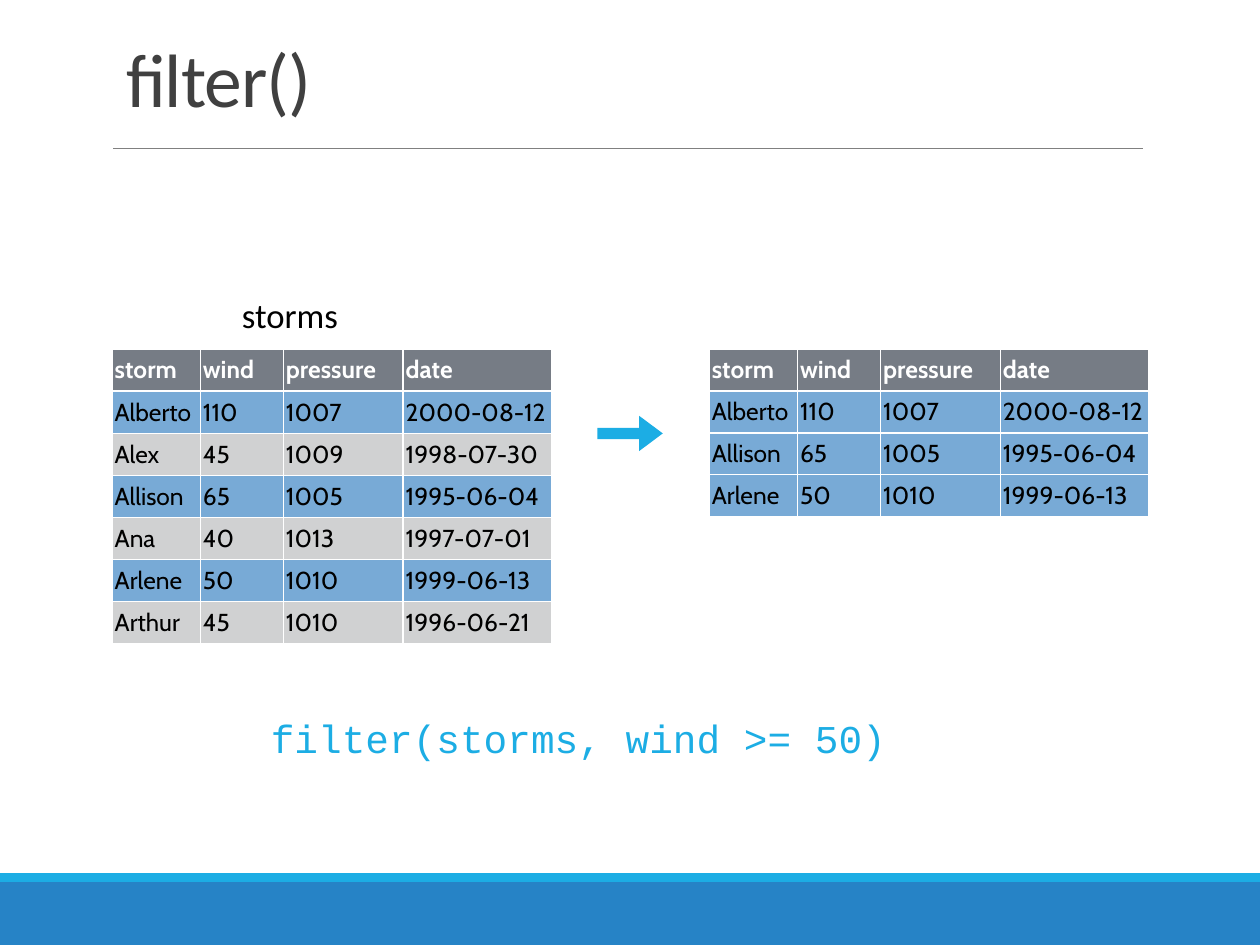
from lxml import etree
from pptx import Presentation
from pptx.dml.color import RGBColor
from pptx.enum.shapes import MSO_CONNECTOR, MSO_SHAPE
from pptx.enum.text import MSO_ANCHOR, MSO_AUTO_SIZE, PP_ALIGN
from pptx.oxml.ns import qn
from pptx.util import Inches, Pt

LINE = MSO_CONNECTOR.STRAIGHT
RECT, ARROW = MSO_SHAPE.RECTANGLE, MSO_SHAPE.RIGHT_ARROW
MIDDLE, BOTTOM, TOP = MSO_ANCHOR.MIDDLE, MSO_ANCHOR.BOTTOM, MSO_ANCHOR.TOP
LEFT = PP_ALIGN.LEFT

COLORS = {
    "sky": "1CADE4", "band": "2683C6", "rule": "808080", "title": "404040",
    "head": "767C85", "keep": "78AAD6", "drop": "D0D1D2",
    "white": "FFFFFF", "black": "000000",
}
HEAD = ("storm", "wind", "pressure", "date")
STORMS = [
    ("Alberto", 110, 1007, "2000-08-12"),
    ("Alex", 45, 1009, "1998-07-30"),
    ("Allison", 65, 1005, "1995-06-04"),
    ("Ana", 40, 1013, "1997-07-01"),
    ("Arlene", 50, 1010, "1999-06-13"),
    ("Arthur", 45, 1010, "1996-06-21"),
]
WIDTHS = (0.7, 0.66, 0.95, 1.18)
LIMIT = 50


def color(name):
    return RGBColor.from_string(COLORS[name])


def set_font(para, name, size, tone, bold=False):
    font = para.font
    font.name, font.size, font.bold = name, Pt(size), bold
    font.color.rgb = color(tone)


def set_inset(item, size):
    item.margin_left = item.margin_right = Inches(size)
    item.margin_top = item.margin_bottom = Inches(size)


def add_block(slide, kind, box, tone):
    shape = slide.shapes.add_shape(kind, *map(Inches, box))
    shape.shadow.inherit = False
    shape.fill.solid()
    shape.fill.fore_color.rgb = color(tone)
    shape.line.fill.background()
    return shape


def add_text(slide, box, text, name, size, tone, anchor=TOP):
    frame = slide.shapes.add_textbox(*map(Inches, box)).text_frame
    frame.word_wrap = True
    frame.vertical_anchor = anchor
    set_inset(frame, 0.03)
    para = frame.paragraphs[0]
    para.text = text
    set_font(para, name, size, tone)
    return para


def add_title(slide, box, text):
    x, y, w, h = box
    title = slide.shapes.title
    title.left, title.top, title.width, title.height = map(Inches, box)
    frame = title.text_frame
    frame.auto_size = MSO_AUTO_SIZE.NONE
    frame.vertical_anchor = BOTTOM
    para = frame.paragraphs[0]
    para.text = text
    para.alignment = LEFT
    para.line_spacing = 0.85
    set_font(para, "Calibri", 43.2, "title")
    para.runs[0]._r.get_or_add_rPr().set("spc", "-50")

    # Rule under the title
    low = Inches(y + h + 0.15)
    rule = slide.shapes.add_connector(
        LINE, Inches(x), low, Inches(x + w - 0.08), low)
    rule.line.color.rgb = color("rule")
    rule.line.width = Pt(0.5)
    etree.SubElement(rule._element.spPr, qn("a:effectLst"))


def add_footer(slide, box):
    x, y, w, h = box
    strip = 0.07
    add_block(slide, RECT, (x, y + strip, w, h - strip), "band")
    add_block(slide, RECT, (x, y, w, strip), "sky")


def add_borders(cell):
    props = cell._tc.get_or_add_tcPr()
    for spot, side in enumerate(("lnL", "lnR", "lnT", "lnB")):
        edge = etree.Element(qn("a:" + side), w=str(Pt(1)))
        fill = etree.SubElement(edge, qn("a:solidFill"))
        etree.SubElement(fill, qn("a:srgbClr"), val=COLORS["white"])
        props.insert(spot, edge)


def add_grid(slide, box, rows):
    count = len(rows) + 1
    table = slide.shapes.add_table(
        count, len(HEAD), *map(Inches, box)).table
    table.horz_banding = False
    for col, width in zip(table.columns, WIDTHS):
        col.width = Inches(width)
    for row in table.rows:
        row.height = Inches(box[3] / count)
    for r, values in enumerate([HEAD, *rows]):
        top = r == 0
        fill = "head" if top else "keep" if values[1] >= LIMIT else "drop"
        for c, value in enumerate(values):
            cell = table.cell(r, c)
            cell.vertical_anchor = MIDDLE
            set_inset(cell, 0.02)
            cell.fill.solid()
            cell.fill.fore_color.rgb = color(fill)
            add_borders(cell)
            para = cell.text_frame.paragraphs[0]
            para.text = str(value)
            para.alignment = LEFT
            set_font(para, "Cabin", 14, "white" if top else "black", top)


def add_flow(slide, box):
    x, y, w, h = box
    wide = sum(WIDTHS)
    kept = [row for row in STORMS if row[1] >= LIMIT]

    # Source table with its name, then the filtered rows
    label = add_text(slide, (x + 1, y, 0.96, 0.37), "storms",
                     "Calibri", 19.8, "black", MIDDLE)
    label.line_spacing = 0.9
    add_grid(slide, (x + w - wide, y + 0.44, wide, 1.33), kept)
    add_grid(slide, (x, y + 0.44, wide, h - 0.44), STORMS)

    # Arrow between the tables
    arrow = add_block(slide, ARROW, (x + 3.85, y + 0.97, 0.52, 0.28), "sky")
    arrow.adjustments[0], arrow.adjustments[1] = 0.32, 0.67


def main():
    deck = Presentation()
    deck.slide_width, deck.slide_height = Inches(10), Inches(7.5)
    slide = deck.slides.add_slide(deck.slide_layouts[5])
    add_footer(slide, (0, 6.93, 10, 0.57))
    add_title(slide, (0.9, 0.31, 8.25, 0.72), "filter()")
    add_flow(slide, (0.89, 2.33, 8.23, 2.78))
    add_text(slide, (2.12, 5.64, 5.77, 0.87), "filter(storms, wind >= 50)",
             "Courier New", 22.5, "sky")
    deck.save("out.pptx")


if __name__ == "__main__":
    main()
